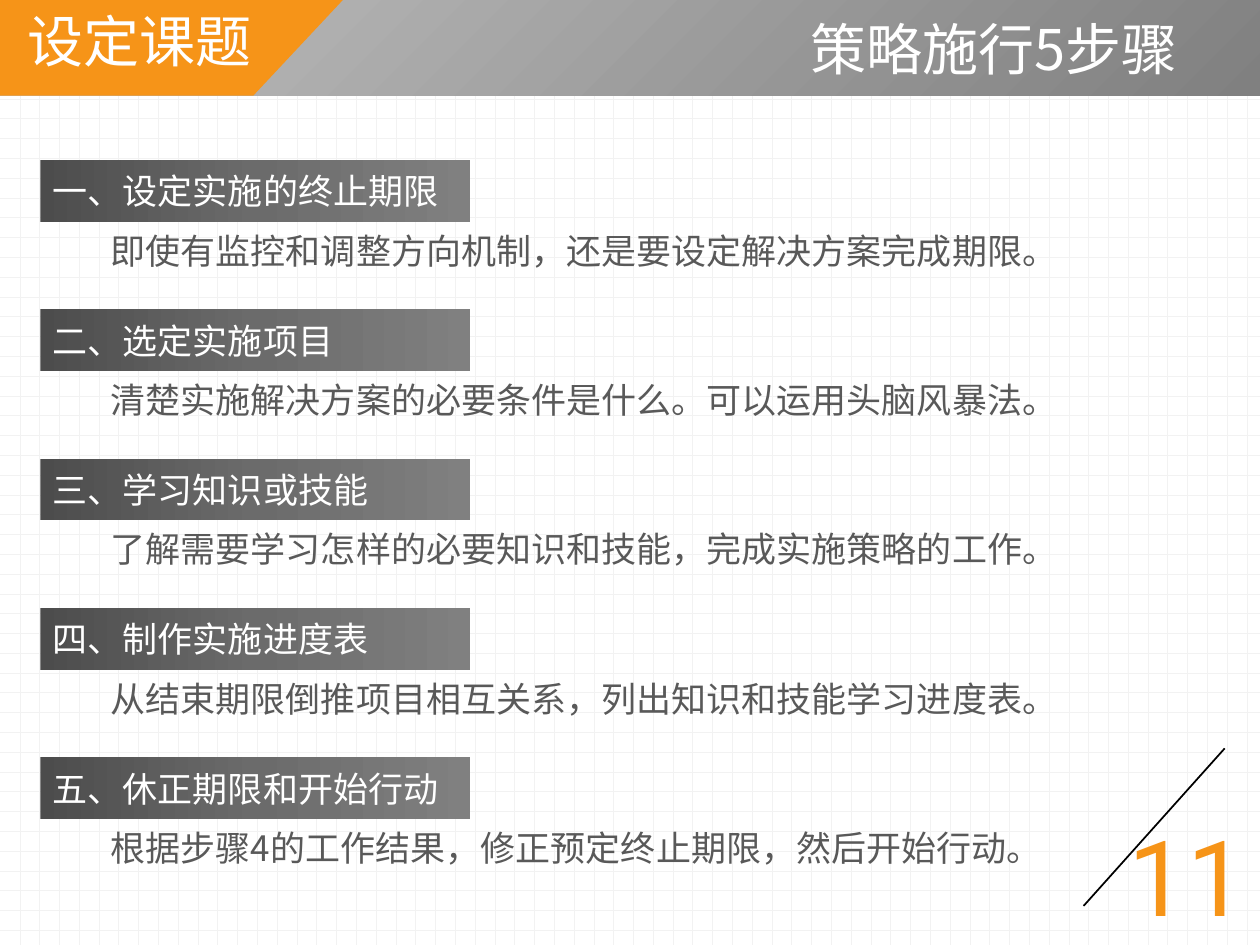
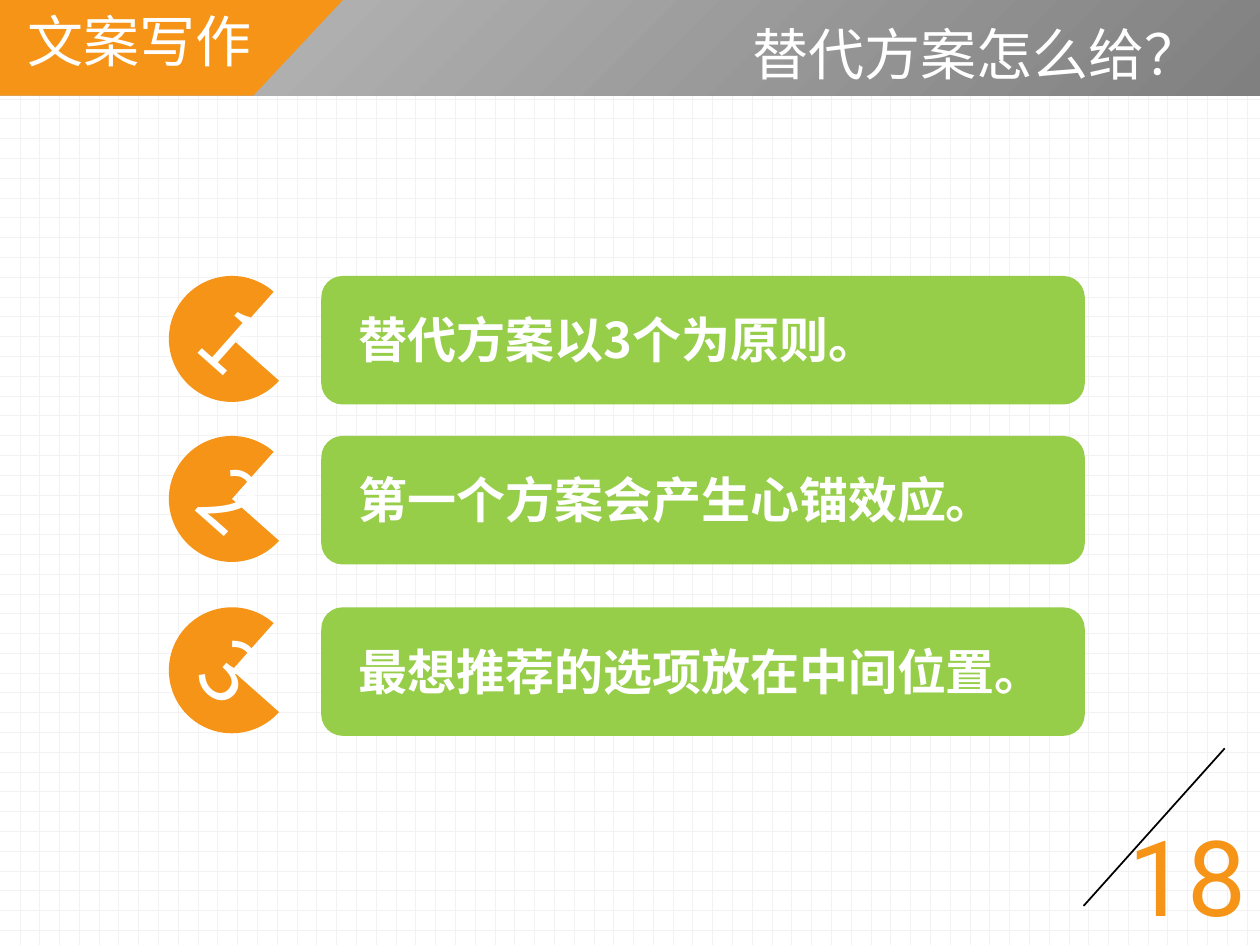
from dataclasses import dataclass

from lxml.etree import SubElement
from pptx import Presentation
from pptx.dml.color import RGBColor
from pptx.enum.dml import MSO_PATTERN
from pptx.enum.shapes import MSO_CONNECTOR, MSO_SHAPE
from pptx.enum.text import MSO_ANCHOR, MSO_AUTO_SIZE, PP_ALIGN
from pptx.oxml.ns import qn
from pptx.util import Inches, Pt


@dataclass(frozen=True)
class Theme:
    orange: str = "F69418"
    green: str = "96CD49"
    white: str = "FFFFFF"
    body: str = "595959"
    grid: str = "F2F2F2"
    slash: str = "000000"
    band: tuple = ((0, "808080"), (100, "BFBFBF"))
    bar: tuple = ((0, "4C4C4C"), (50, "6B6B6B"), (100, "808080"))
    text_font: str = "Noto Sans CJK SC"
    chapter_font: str = "Noto Sans CJK JP"
    number_font: str = "Roboto"
    heading_size: int = 32
    body_size: int = 20
    card_size: int = 28
    badge_size: int = 48
    number_size: int = 60


class DeckBuilder:
    """Holds the theme, the deck and the page being drawn."""

    def __init__(self, theme):
        self.theme = theme
        self.deck = Presentation()
        self.deck.slide_width, self.deck.slide_height = Inches(10), Inches(7.5)
        self.page = None
        fill = self.deck.slide_master.background.fill
        fill.patterned()
        fill.pattern = MSO_PATTERN.DOTTED_GRID
        fill.fore_color.rgb = RGBColor.from_string(theme.grid)
        fill.back_color.rgb = RGBColor.from_string(theme.white)

    def new_page(self, chapter, title, title_place, title_align, number):
        theme = self.theme
        self.page = self.deck.slides.add_slide(self.deck.slide_layouts[5])
        self.slash()
        band = self.shape(MSO_SHAPE.RECTANGLE, (0, 0, 10, 0.76))
        self.gradient(band, theme.band, "path")
        self.chapter_flag()
        self.text((0.12, 0, 2.44, 0.64), chapter, theme.heading_size,
                  font=theme.chapter_font)
        self.title(title, title_place, title_align)
        self.text((8.86, 6.39, 1.34, 1.11), number, theme.number_size,
                  theme.orange, theme.number_font)

    def title(self, words, place, align):
        box = self.page.shapes.title
        box.left, box.top, box.width, box.height = map(Inches, place)
        # The placeholder comes first on the page; raise it above the band.
        self.page.shapes._spTree.append(box._element)
        self.set_text(box, words, self.theme.heading_size, align=align,
                      anchor=MSO_ANCHOR.MIDDLE)

    def slash(self):
        line = self.page.shapes.add_connector(
            MSO_CONNECTOR.STRAIGHT, *map(Inches, (9.72, 5.94, 8.6, 7.19)))
        line.line.color.rgb = RGBColor.from_string(self.theme.slash)
        line.line.width = Pt(1)
        SubElement(line._element.spPr, qn("a:effectLst"))

    def chapter_flag(self):
        corners = [(-0.03, -0.02), (2.74, -0.02), (2.01, 0.76), (-0.03, 0.76)]
        start, *others = [tuple(map(Inches, corner)) for corner in corners]
        builder = self.page.shapes.build_freeform(*start)
        builder.add_line_segments(others, close=True)
        self.finish(builder.convert_to_shape(), self.theme.orange)

    def shape(self, kind, place, color=None):
        shape = self.page.shapes.add_shape(kind, *map(Inches, place))
        return self.finish(shape, color)

    def finish(self, shape, color):
        """Remove the default shadow and outline, and fill with a colour if given."""
        shape.shadow.inherit = False
        shape.line.fill.background()
        if color:
            shape.fill.solid()
            shape.fill.fore_color.rgb = RGBColor.from_string(color)
        return shape

    def gradient(self, shape, stops, kind):
        """Fill left to right ("lin") or outwards from the lower right ("path")."""
        shape.fill.gradient()
        grad = shape._element.spPr.find(qn("a:gradFill"))
        for child in list(grad):
            grad.remove(child)
        stop_list = SubElement(grad, qn("a:gsLst"))
        for percent, color in stops:
            stop = SubElement(stop_list, qn("a:gs"), pos=str(percent * 1000))
            SubElement(stop, qn("a:srgbClr"), val=color)
        if kind == "lin":
            SubElement(grad, qn("a:lin"), ang="0", scaled="0")
        else:
            circle = SubElement(grad, qn("a:path"), path="circle")
            SubElement(circle, qn("a:fillToRect"), l="100000", t="100000")

    def text(self, place, words, size, color=None, font=None, bold=False):
        box = self.page.shapes.add_textbox(*map(Inches, place))
        self.set_text(box, words, size, color, font, bold)
        box.text_frame.auto_size = MSO_AUTO_SIZE.SHAPE_TO_FIT_TEXT

    def set_text(self, box, words, size, color=None, font=None, bold=False,
                 align=PP_ALIGN.LEFT, anchor=MSO_ANCHOR.TOP):
        frame = box.text_frame
        frame.word_wrap = True
        frame.auto_size = MSO_AUTO_SIZE.NONE
        frame.vertical_anchor = anchor
        para = frame.paragraphs[0]
        para.text = words
        para.alignment = align
        para.font.size = Pt(size)
        para.font.bold = bold
        para.font.color.rgb = RGBColor.from_string(color or self.theme.white)
        para.font.name = font or self.theme.text_font
        SubElement(para.font._element, qn("a:ea"), typeface=para.font.name)

    def step(self, top, heading, detail):
        size = self.theme.body_size
        self.text((0.78, top + 0.5, 8.95, 0.44), detail, size, self.theme.body)
        bar = self.shape(MSO_SHAPE.RECTANGLE, (0.32, top, 3.41, 0.49))
        self.gradient(bar, self.theme.bar, "lin")
        self.set_text(bar, heading, size, anchor=MSO_ANCHOR.MIDDLE)

    def numbered_card(self, top, number, words):
        theme = self.theme
        self.shape(MSO_SHAPE.ROUNDED_RECTANGLE, (2.55, top, 6.06, 1.02), theme.green)
        self.text((2.75, top + 0.22, 5.66, 0.57), words, theme.card_size, bold=True)
        badge = self.shape(MSO_SHAPE.TEAR, (1.34, top, 1, 1), theme.orange)
        badge.adjustments[0] = 0
        badge.rotation = 41.5
        self.set_text(badge, number, theme.badge_size, align=PP_ALIGN.CENTER,
                      anchor=MSO_ANCHOR.MIDDLE)


STEPS = [
    ("一、设定实施的终止期限", "即使有监控和调整方向机制，还是要设定解决方案完成期限。"),
    ("二、选定实施项目", "清楚实施解决方案的必要条件是什么。可以运用头脑风暴法。"),
    ("三、学习知识或技能", "了解需要学习怎样的必要知识和技能，完成实施策略的工作。"),
    ("四、制作实施进度表", "从结束期限倒推项目相互关系，列出知识和技能学习进度表。"),
    ("五、休正期限和开始行动", "根据步骤4的工作结果，修正预定终止期限，然后开始行动。"),
]
ALTERNATIVES = [
    (2.19, "替代方案以3个为原则。"),
    (3.46, "第一个方案会产生心锚效应。"),
    (4.82, "最想推荐的选项放在中间位置。"),
]


def main():
    builder = DeckBuilder(Theme())

    builder.new_page("设定课题", "策略施行5步骤", (3.77, 0.04, 5.68, 0.69),
                     PP_ALIGN.RIGHT, "11")
    first_top, last_top = 1.27, 6.01
    pitch = (last_top - first_top) / (len(STEPS) - 1)
    for index, (heading, detail) in enumerate(STEPS):
        builder.step(first_top + index * pitch, heading, detail)

    builder.new_page("文案写作", "替代方案怎么给？", (5.63, 0, 4.25, 0.84),
                     PP_ALIGN.CENTER, "18")
    for number, (top, words) in enumerate(ALTERNATIVES, start=1):
        builder.numbered_card(top, str(number), words)

    builder.deck.save("out.pptx")


if __name__ == "__main__":
    main()
